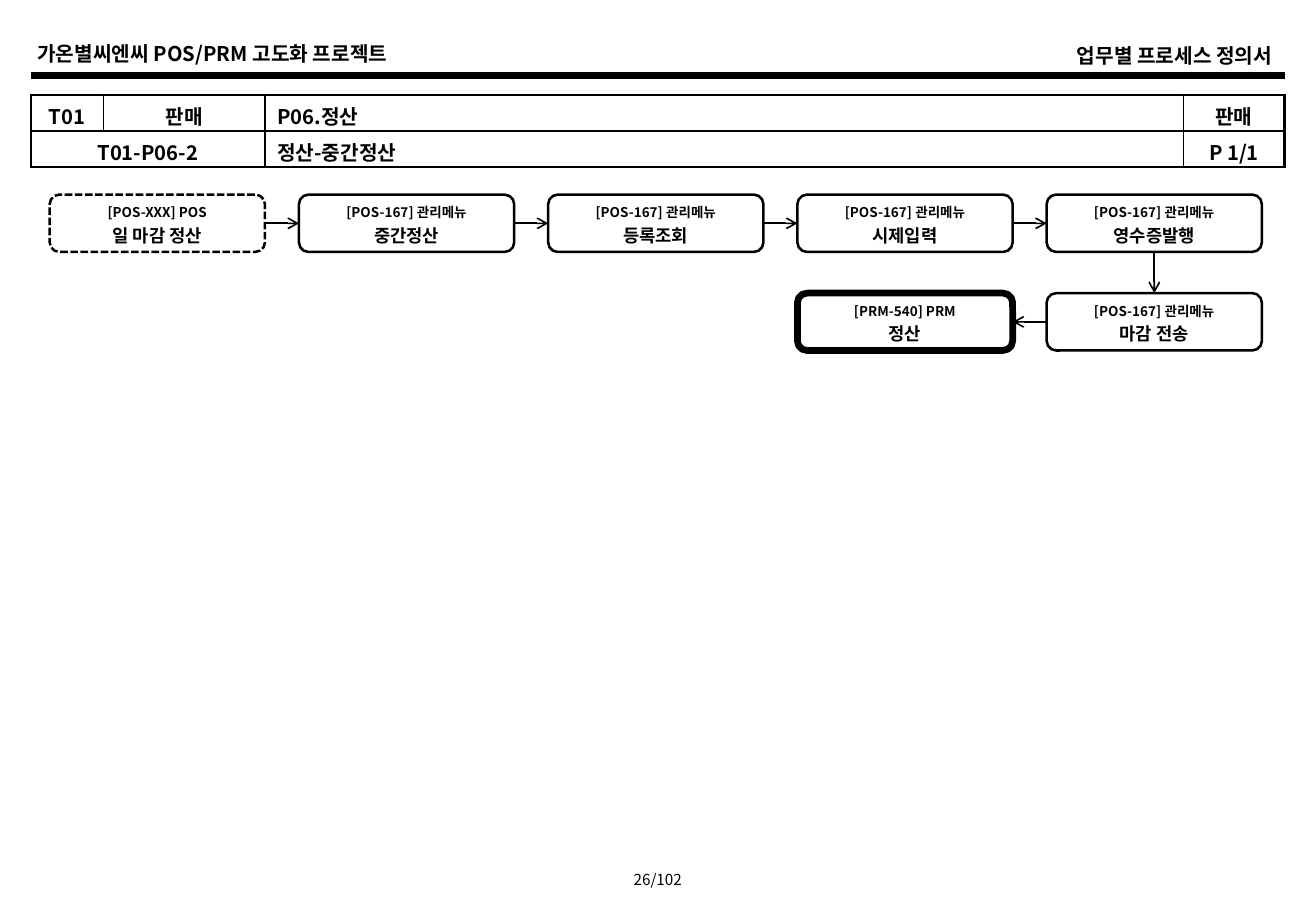
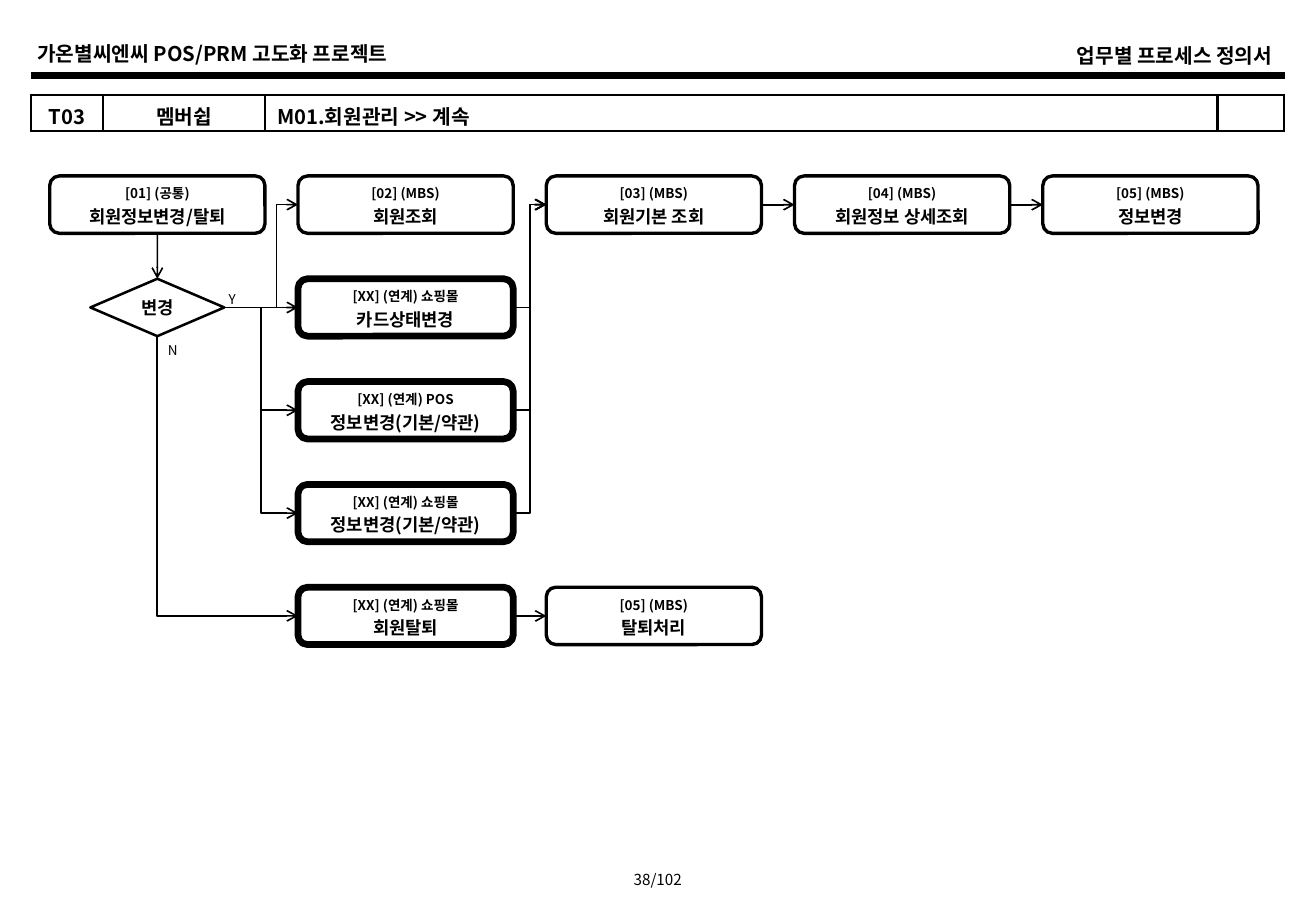
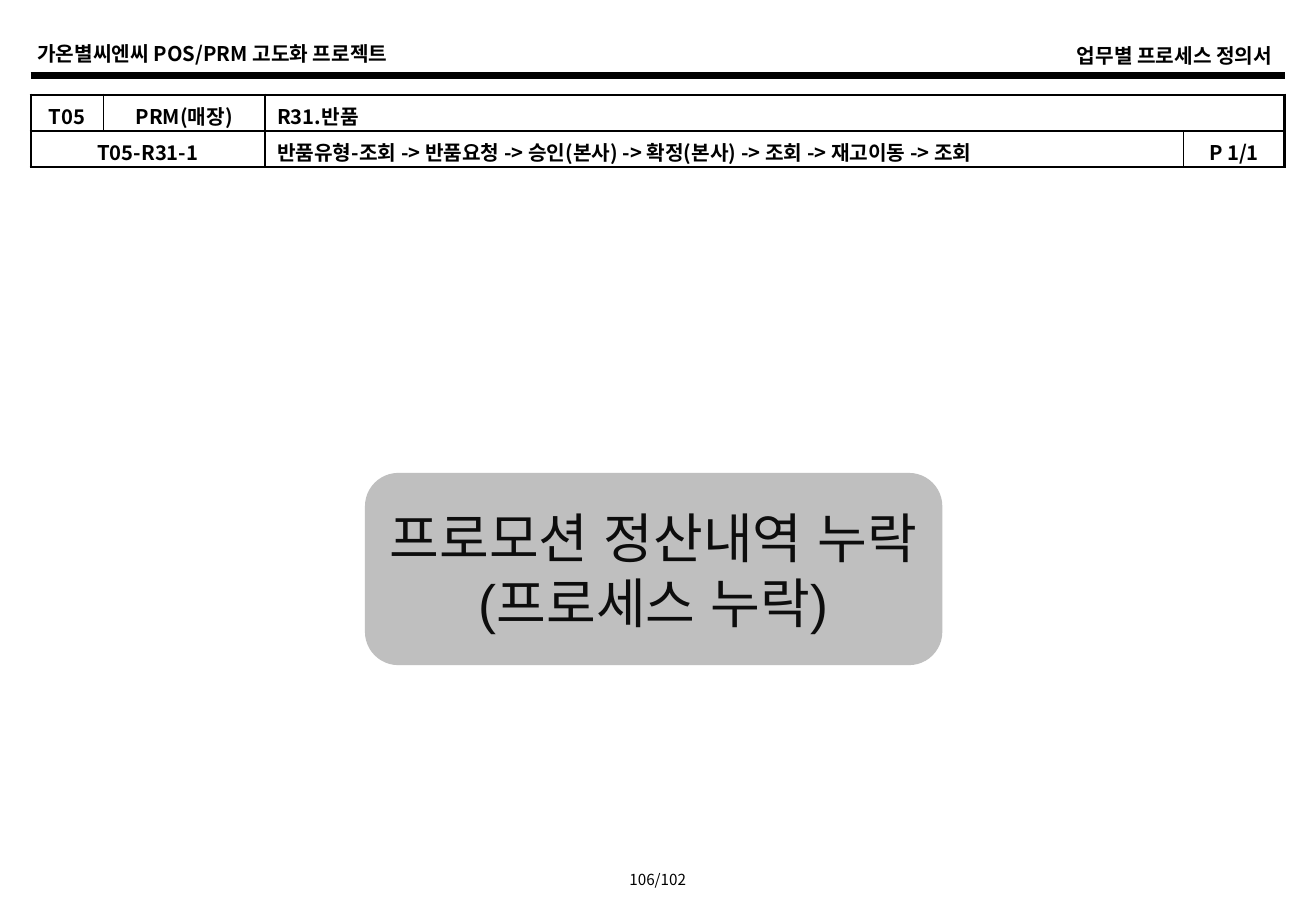
from dataclasses import dataclass

from lxml.etree import SubElement
from pptx import Presentation
from pptx.dml.color import RGBColor
from pptx.enum.dml import MSO_LINE
from pptx.enum.shapes import MSO_CONNECTOR, MSO_SHAPE
from pptx.enum.text import MSO_ANCHOR, PP_ALIGN
from pptx.oxml.ns import qn
from pptx.util import Cm, Pt


@dataclass(frozen=True)
class Theme:
    font: str = "Noto Sans CJK KR"
    notice_font: str = "Arial"
    ink: RGBColor = RGBColor(0, 0, 0)
    paper: RGBColor = RGBColor(255, 255, 255)
    notice_fill: RGBColor = RGBColor(0xBF, 0xBF, 0xBF)
    notice_ink: RGBColor = RGBColor(0x0D, 0x0D, 0x0D)
    title: float = 12
    name: float = 10.5
    page: float = 9
    code: float = 8
    notice: float = 32
    thin: float = 0.75
    frame: float = 1.5
    arrow: float = 1
    heavy: float = 4
    band: float = 4.5


THEME = Theme()
TOP, LEFT, BOTTOM, RIGHT = range(4)
BOX_WIDTH, BOX_HEIGHT = 4.5, 1.2
GRID_LEFT = 1.04
TABLE_LEFT, TABLE_TOP, ROW_HEIGHT = 0.64, 1.98, 0.76
DETAIL_COLUMNS = (1.52, 3.38, 19.2, 2.11)
OVERVIEW_COLUMNS = (1.52, 3.38, 19.91, 1.4)


@dataclass(frozen=True)
class Grid:
    top: float
    column_pitch: float
    row_pitch: float
    weight: float

    def place(self, column, row):
        return GRID_LEFT + column * self.column_pitch, self.top + row * self.row_pitch


def assign(target, values):
    for name, value in values.items():
        setattr(target, name, value)


def add_span(para, text, size, bold=True, color=THEME.ink, font=THEME.font):
    span = para.add_run()
    span.text = text
    assign(span.font, {"name": font, "size": Pt(size), "bold": bold})
    span.font.color.rgb = color
    SubElement(span.font._element, qn("a:ea"), typeface=font)


def frame_text(box, inset_x, inset_y=0, wrap=True):
    assign(box.text_frame, {
        "word_wrap": wrap, "vertical_anchor": MSO_ANCHOR.MIDDLE,
        "margin_left": Cm(inset_x), "margin_right": Cm(inset_x),
        "margin_top": Cm(inset_y), "margin_bottom": Cm(inset_y),
    })
    return box.text_frame


def add_label(page, area, text, size, bold=False, align=PP_ALIGN.LEFT):
    box = page.shapes.add_textbox(*map(Cm, area))
    para = frame_text(box, 0.25).paragraphs[0]
    para.alignment = align
    add_span(para, text, size, bold)


def add_outline(page, kind, area, weight, fill=None, line=THEME.ink):
    shape = page.shapes.add_shape(kind, *map(Cm, area))
    shape.shadow.inherit = False
    if fill is None:
        shape.fill.background()
    else:
        shape.fill.solid()
        shape.fill.fore_color.rgb = fill
    shape.line.color.rgb = line
    shape.line.width = Pt(weight)
    return shape


def add_step(page, grid, column, row, code, name, weight=None, dashed=False):
    area = (*grid.place(column, row), BOX_WIDTH, BOX_HEIGHT)
    step = add_outline(page, MSO_SHAPE.ROUNDED_RECTANGLE, area, weight or grid.weight, THEME.paper)
    if dashed:
        step.line.dash_style = MSO_LINE.SQUARE_DOT
    frame = frame_text(step, 0.1, 0.1)
    for para, text, size in ((frame.paragraphs[0], code, THEME.code),
                             (frame.add_paragraph(), name, THEME.name)):
        assign(para, {"alignment": PP_ALIGN.CENTER, "line_spacing": 1.2})
        add_span(para, text, size)
    return step


def add_decision(page, grid, column, row, text):
    left, top = grid.place(column, row)
    width = 2.8
    area = (left + (BOX_WIDTH - width) / 2, top, width, BOX_HEIGHT)
    decision = add_outline(page, MSO_SHAPE.FLOWCHART_DECISION, area, THEME.frame)
    para = frame_text(decision, 0).paragraphs[0]
    para.alignment = PP_ALIGN.CENTER
    add_span(para, text, THEME.name)
    return decision


def add_line(page, kind, weight, ends=(0, 0, 0, 0)):
    line = page.shapes.add_connector(kind, *map(Cm, ends))
    line.line.color.rgb = THEME.ink
    line.line.width = Pt(weight)
    SubElement(line._element.spPr, qn("a:effectLst"))
    return line


def add_arrow(page, source, target, sides=(RIGHT, LEFT), kind=MSO_CONNECTOR.STRAIGHT, point="tailEnd"):
    arrow = add_line(page, kind, THEME.arrow)
    arrow.begin_connect(source, sides[0])
    arrow.end_connect(target, sides[1])
    SubElement(arrow.line._get_or_add_ln(), qn(f"a:{point}"), type="arrow")
    return arrow


def add_elbow(page, source, target, bend=0.5):
    arrow = add_arrow(page, source, target, kind=MSO_CONNECTOR.ELBOW)
    guides = arrow._element.spPr.prstGeom.get_or_add_avLst()
    SubElement(guides, qn("a:gd"), name="adj1", fmla=f"val {round(bend * 100000)}")


def add_corner(page, source, target):
    arrow = add_arrow(page, target, source, (LEFT, BOTTOM), MSO_CONNECTOR.ELBOW, "headEnd")
    arrow._element.spPr.prstGeom.set("prst", "bentConnector2")


def set_borders(cell, weights):
    properties = cell._tc.get_or_add_tcPr()
    for position, (side, weight) in enumerate(weights.items()):
        border = properties.makeelement(qn(f"a:{side}"), {"w": str(Pt(weight))})
        fill = SubElement(border, qn("a:solidFill"))
        SubElement(fill, qn("a:srgbClr"), val=str(THEME.ink))
        properties.insert(position, border)


def fill_cell(cell, text, align):
    assign(cell, {"margin_top": Cm(0.1), "margin_bottom": 0,
                  "vertical_anchor": MSO_ANCHOR.MIDDLE})
    cell.fill.solid()
    cell.fill.fore_color.rgb = THEME.paper
    para = cell.text_frame.paragraphs[0]
    para.alignment = align
    if text:
        add_span(para, text, THEME.title)
    else:
        SubElement(para._p, qn("a:endParaRPr"), sz=str(THEME.title * 100))


def add_heading_table(page, widths, rows, inner=THEME.thin):
    area = (TABLE_LEFT, TABLE_TOP, sum(widths), ROW_HEIGHT * len(rows))
    table = page.shapes.add_table(len(rows), len(widths), *map(Cm, area)).table
    assign(table, {"first_row": False, "horz_banding": False})
    for column, width in zip(table.columns, widths):
        column.width = Cm(width)
    for r, texts in enumerate(rows):
        table.rows[r].height = Cm(ROW_HEIGHT)
        for c, text in enumerate(texts):
            if text is None:
                table.cell(r, c - 1).merge(table.cell(r, c))
        for c, text in enumerate(texts):
            cell = table.cell(r, c)
            fill_cell(cell, text, PP_ALIGN.LEFT if c == 2 else PP_ALIGN.CENTER)
            last = c + (cell.span_width if cell.is_merge_origin else 1) == len(widths)
            outer = {"lnL": c == 0, "lnR": last, "lnT": r == 0, "lnB": r == len(rows) - 1}
            set_borders(cell, {side: THEME.frame if edge else inner
                               for side, edge in outer.items()})


def add_page(deck, number):
    page = deck.slides.add_slide(deck.slide_layouts[6])
    add_label(page, (12.57, 18.08, 2.36, 0.64), f"{number}/102", THEME.page, align=PP_ALIGN.CENTER)
    add_label(page, (0.53, 0.74, 10.54, 0.76), "가온별씨엔씨 POS/PRM 고도화 프로젝트", THEME.title, True)
    add_label(page, (16.31, 0.78, 10.54, 0.76), "업무별 프로세스 정의서", THEME.title, True, PP_ALIGN.RIGHT)
    add_line(page, MSO_CONNECTOR.STRAIGHT, THEME.band, (0.64, 1.58, 26.87, 1.58))
    return page


def add_settlement(deck):
    page = add_page(deck, 26)
    add_heading_table(page, DETAIL_COLUMNS, [
        ("T01", "판매", "P06.정산", "판매"),
        ("T01-P06-2", None, "정산-중간정산", "P 1/1"),
    ])
    grid = Grid(top=4.07, column_pitch=5.21, row_pitch=2.06, weight=1.5)
    menu = "[POS-167] 관리메뉴"
    steps = [add_step(page, grid, 0, 0, "[POS-XXX] POS", "일 마감 정산", dashed=True)]
    for column, name in enumerate(("중간정산", "등록조회", "시제입력", "영수증발행"), 1):
        steps.append(add_step(page, grid, column, 0, menu, name))
    closing = add_step(page, grid, 4, 1, menu, "마감 전송")
    settlement = add_step(page, grid, 3, 1, "[PRM-540] PRM", "정산", THEME.heavy)
    for source, target in zip(steps, steps[1:]):
        add_arrow(page, source, target)
    add_arrow(page, steps[-1], closing, (BOTTOM, TOP))
    add_arrow(page, closing, settlement, (LEFT, RIGHT))


def add_membership(deck):
    page = add_page(deck, 38)
    add_heading_table(page, OVERVIEW_COLUMNS, [("T03", "멤버쉽", "M01.회원관리 >> 계속", "")], THEME.frame)
    grid = Grid(top=3.68, column_pitch=5.19, row_pitch=2.15, weight=2)
    start, search, basic, detail, change = [
        add_step(page, grid, column, 0, f"[{column + 1:02}] ({group})", name)
        for column, (group, name) in enumerate((
            ("공통", "회원정보변경/탈퇴"), ("MBS", "회원조회"), ("MBS", "회원기본 조회"),
            ("MBS", "회원정보 상세조회"), ("MBS", "정보변경")))
    ]
    *updates, withdrawal = [
        add_step(page, grid, 1, row, f"[XX] (연계) {system}", name, THEME.heavy)
        for row, (system, name) in enumerate((
            ("쇼핑몰", "카드상태변경"), ("POS", "정보변경(기본/약관)"),
            ("쇼핑몰", "정보변경(기본/약관)"), ("쇼핑몰", "회원탈퇴")), 1)
    ]
    removal = add_step(page, grid, 2, 4, "[05] (MBS)", "탈퇴처리")
    decision = add_decision(page, grid, 0, 1, "변경")
    add_label(page, (4.53, 5.94, 0.8, 0.61), "Y", THEME.code)
    add_label(page, (3.26, 7.01, 0.8, 0.61), "N", THEME.code)

    add_arrow(page, start, decision, (BOTTOM, TOP))
    add_elbow(page, decision, search, 0.71)
    add_arrow(page, decision, updates[0])
    for update in updates[1:]:
        add_elbow(page, decision, update)
    for update in updates:
        add_elbow(page, update, basic)
    add_corner(page, decision, withdrawal)
    for source, target in ((basic, detail), (detail, change), (withdrawal, removal)):
        add_arrow(page, source, target)


def add_returns(deck):
    page = add_page(deck, 106)
    add_heading_table(page, DETAIL_COLUMNS, [
        ("T05", "PRM(매장)", "R31.반품", None),
        ("T05-R31-1", None,
         "반품유형-조회 -> 반품요청 -> 승인(본사) -> 확정(본사) -> 조회 -> 재고이동 -> 조회", "P 1/1"),
    ])
    notice = add_outline(page, MSO_SHAPE.ROUNDED_RECTANGLE, (7.67, 9.93, 11.99, 3.94), 2.25,
                         THEME.notice_fill, THEME.notice_fill)
    para = frame_text(notice, 0.25, 0.13, wrap=False).paragraphs[0]
    para.alignment = PP_ALIGN.CENTER
    style = (THEME.notice, False, THEME.notice_ink, THEME.notice_font)
    add_span(para, "프로모션 정산내역 누락", *style)
    para.add_line_break()
    add_span(para, "(프로세스 누락)", *style)


def main():
    deck = Presentation()
    assign(deck, {"slide_width": Cm(27.51), "slide_height": Cm(19.05)})
    add_settlement(deck)
    add_membership(deck)
    add_returns(deck)
    deck.save("out.pptx")


if __name__ == "__main__":
    main()
